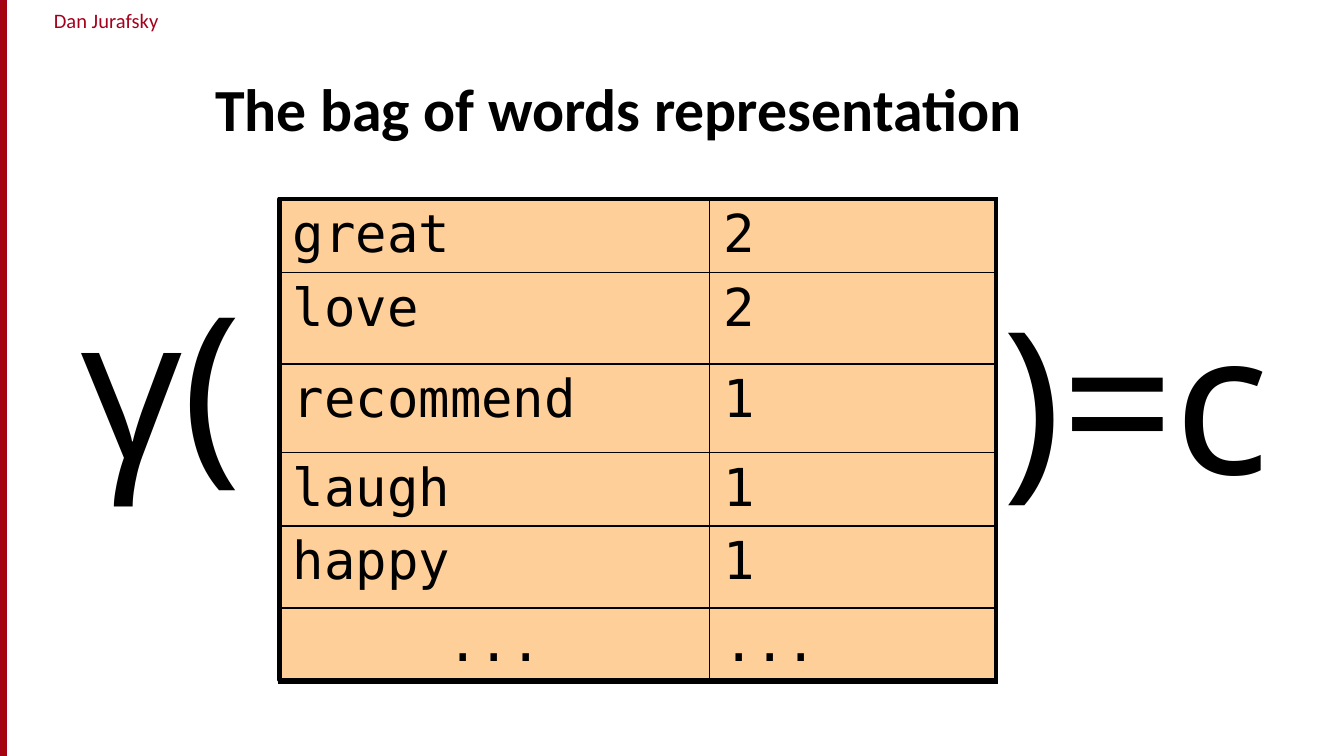
from lxml import etree
from pptx import Presentation
from pptx.dml.color import RGBColor
from pptx.enum.shapes import MSO_SHAPE
from pptx.enum.text import MSO_ANCHOR, PP_ALIGN
from pptx.oxml.ns import qn
from pptx.util import Inches, Pt

RECT = MSO_SHAPE.RECTANGLE
BOTTOM = MSO_ANCHOR.BOTTOM
LEFT, CENTER = PP_ALIGN.LEFT, PP_ALIGN.CENTER
BLACK = RGBColor(0x00, 0x00, 0x00)
CRIMSON = RGBColor(0xA4, 0x00, 0x1D)
RED = RGBColor(0xA4, 0x05, 0x08)
PEACH = RGBColor(0xFF, 0xCF, 0x99)
THIN, THICK = Pt(1), Pt(2.25)

COUNTS = [("great", "2"), ("love", "2"), ("recommend", "1"),
          ("laugh", "1"), ("happy", "1"), ("...", "...")]
COL_WIDTHS = [3.2, 2.13]
ROW_HEIGHTS = [0.53, 0.68, 0.66, 0.54, 0.61, 0.55]


def style(p, size, font, color=BLACK, bold=False, align=LEFT):
    p.alignment = align
    for r in p.runs:
        r.font.size = Pt(size)
        r.font.name = font
        r.font.color.rgb = color
        r.font.bold = bold


def set_border(cell, side, width):
    ln = etree.SubElement(cell._tc.get_or_add_tcPr(), qn(f"a:ln{side}"), w=str(width))
    fill = etree.SubElement(ln, qn("a:solidFill"))
    etree.SubElement(fill, qn("a:srgbClr"), val=str(BLACK))


# Widescreen 16:9 slide
prs = Presentation()
prs.slide_width = Inches(10)
prs.slide_height = prs.slide_width * 9 // 16
s = prs.slides.add_slide(prs.slide_layouts[5])

# Side bar and table backdrop
for box, fill, line, width in [
    ((0, 0, 0.05, 5.63), RED, CRIMSON, Pt(0.75)),
    ((2.08, 1.48, 5.33, 3.58), PEACH, BLACK, THICK),
]:
    sp = s.shapes.add_shape(RECT, *map(Inches, box))
    sp.shadow.inherit = False
    sp.fill.solid()
    sp.fill.fore_color.rgb = fill
    sp.line.color.rgb = line
    sp.line.width = width

# Author name
sp = s.shapes.add_textbox(Inches(0.08), Inches(0.01), Inches(1.42), Inches(0.29))
tf = sp.text_frame
tf.word_wrap = True
tf.margin_left = tf.margin_right = 0
tf.text = "Dan Jurafsky"
style(tf.paragraphs[0], 11, "Calibri", CRIMSON, align=CENTER)

# Title
sp = s.shapes.title
sp.left, sp.top, sp.width, sp.height = map(Inches, (1.5, 0.31, 8.17, 0.81))
tf = sp.text_frame
tf.text = "The bag of words representation"
tf.vertical_anchor = BOTTOM
style(tf.paragraphs[0], 32, "Calibri", bold=True)

# Classifier function around the table
for text, box, wrap in [("γ(", (0.5, 1.9, 1.75, 1.88), True),
                        (")=c", (7.36, 2.01, 2.39, 1.88), False)]:
    tf = s.shapes.add_textbox(*map(Inches, box)).text_frame
    tf.word_wrap = wrap
    tf.text = text
    style(tf.paragraphs[0], 106, "Noto Sans")

# Word counts
last_row, last_col = len(COUNTS) - 1, len(COL_WIDTHS) - 1
table = s.shapes.add_table(len(COUNTS), len(COL_WIDTHS), Inches(2.08), Inches(1.48),
                           Inches(sum(COL_WIDTHS)), Inches(sum(ROW_HEIGHTS))).table
table.first_row = table.horz_banding = False
for col, width in zip(table.columns, COL_WIDTHS):
    col.width = Inches(width)
for i, row in enumerate(COUNTS):
    table.rows[i].height = Inches(ROW_HEIGHTS[i])
    for j, text in enumerate(row):
        cell = table.cell(i, j)
        cell.margin_top = cell.margin_bottom = Inches(0.04)
        cell.text = text
        centered = (i, j) == (last_row, 0)
        style(cell.text_frame.paragraphs[0], 28, "DejaVu Sans Mono",
              align=CENTER if centered else LEFT)
        outer = {"L": j == 0, "R": j == last_col, "T": i == 0, "B": i == last_row}
        for side, is_outer in outer.items():
            set_border(cell, side, THICK if is_outer else THIN)
        cell.fill.background()

prs.save("out.pptx")
